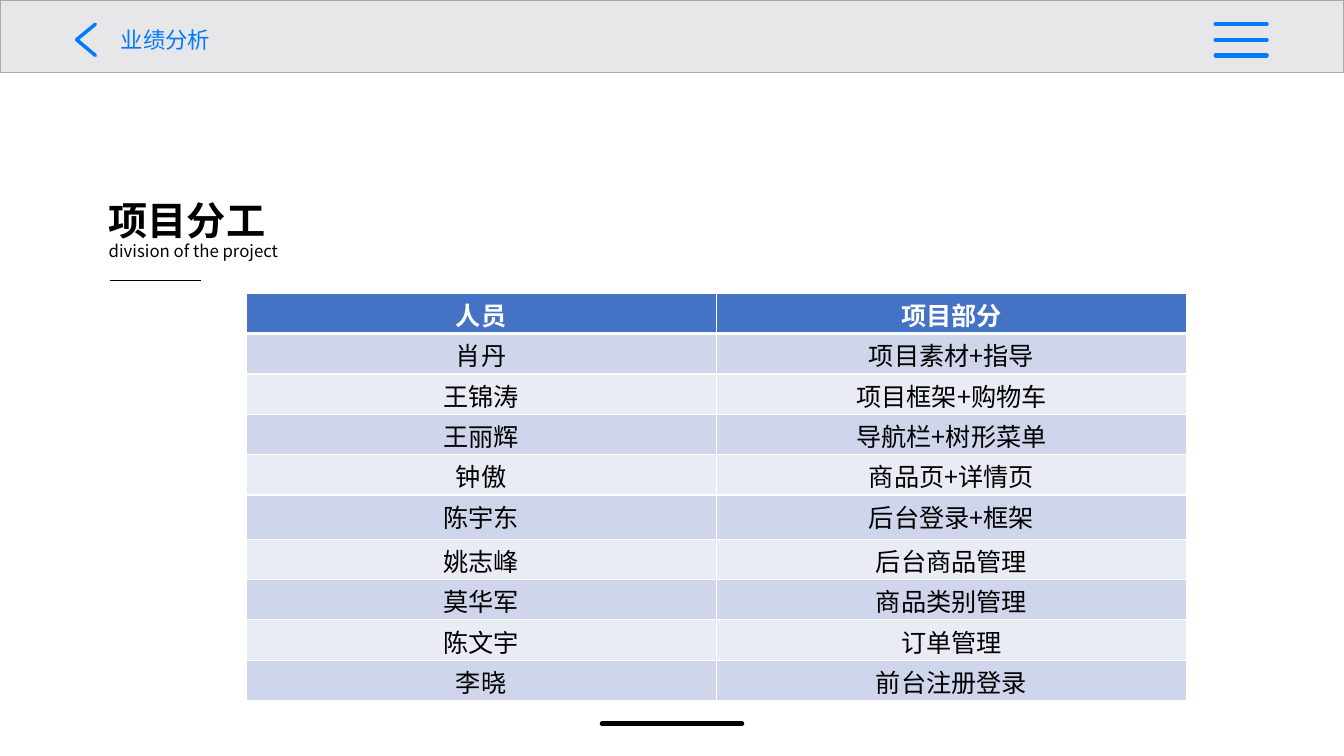
from lxml import etree
from pptx import Presentation, util as u
from pptx.dml.color import RGBColor
from pptx.enum import shapes, text
from pptx.oxml import ns

FONT = "Noto Sans CJK SC"
BLUE, BLACK, WHITE = "007AFF", "000000", "FFFFFF"
COLS, ROWS = 40, 22.5
G = u.Inches(1) / 3  # one square grid cell
rgb = RGBColor.from_string

prs = Presentation()
prs.slide_width, prs.slide_height = round(COLS * G), round(ROWS * G)
s = prs.slides.add_slide(prs.slide_layouts[6])


def add_line(x1, y1, x2, y2, color, width, cap="rnd"):
    ends = [round(v * G) for v in (x1, y1, x2, y2)]
    c = s.shapes.add_connector(shapes.MSO_CONNECTOR.STRAIGHT, *ends)
    c.line.color.rgb = rgb(color)
    c.line.width = u.Pt(width)
    c.line._get_or_add_ln().set("cap", cap)
    etree.SubElement(c._element.spPr, ns.qn("a:effectLst"))


def style(p, size, color, bold=False):
    for r in p.runs:
        r.font.size, r.font.bold, r.font.name = u.Pt(size), bold, FONT
        r.font.color.rgb = rgb(color)
        etree.SubElement(r._r.get_or_add_rPr(), ns.qn("a:ea"), typeface=FONT)


# Navigation bar
bar = s.shapes.add_shape(shapes.MSO_SHAPE.RECTANGLE, 0, 0, prs.slide_width, round(2.16 * G))
bar.shadow.inherit = False
bar.fill.solid()
bar.fill.fore_color.rgb = rgb("E7E7E9")
bar.line.color.rgb = rgb("A9A9A9")
bar.line.width = u.Pt(1)

# Back arrow, menu icon, title rule and home indicator
for y in (0.72, 1.65):
    add_line(2.84, y, 2.28, 1.18, BLUE, 2.5)
for i in range(3):
    y = 0.72 + 0.465 * i
    add_line(36.18, y, 37.7, y, BLUE, 3)
add_line(3.27, 8.34, 5.97, 8.34, BLACK, 1, "flat")
add_line(17.92, 21.54, 22.08, 21.54, BLACK, 3.5)

# Text boxes: place, anchor, then (wording, size, colour, bold, line pitch)
boxes = [
    ((3.3, 0.63, 4.2, 1.11), text.MSO_ANCHOR.MIDDLE,
     [("业绩分析", 16, BLUE, False, None)]),
    ((2.94, 5.61, 8.34, 2.31), text.MSO_ANCHOR.TOP,
     [("项目分工", 28, BLACK, True, 36),
      ("division of the project", 12, BLACK, False, 12)]),
]
for place, anchor, lines in boxes:
    tf = s.shapes.add_textbox(*[round(v * G) for v in place]).text_frame
    tf.word_wrap = True
    tf.vertical_anchor = anchor
    tf.text = "\n".join(item[0] for item in lines)
    for p, (_, size, color, bold, pitch) in zip(tf.paragraphs, lines):
        style(p, size, color, bold)
        if pitch:
            p.line_spacing = u.Pt(pitch)

# Division of work
work = [
    ("人员", "项目部分"),
    ("肖丹", "项目素材+指导"),
    ("王锦涛", "项目框架+购物车"),
    ("王丽辉", "导航栏+树形菜单"),
    ("钟傲", "商品页+详情页"),
    ("陈宇东", "后台登录+框架"),
    ("姚志峰", "后台商品管理"),
    ("莫华军", "商品类别管理"),
    ("陈文宇", "订单管理"),
    ("李晓", "前台注册登录"),
]
heights = [1.32 if name == "陈宇东" else 1.2 for name, _ in work]
place = [round(v * G) for v in (7.32, 8.73, 28, sum(heights))]
table = s.shapes.add_table(len(work), 2, *place).table
for i, values in enumerate(work):
    table.rows[i].height = round(heights[i] * G)
    header = i == 0
    fill = "4472C4" if header else ("E9EBF5", "CFD5EA")[i % 2]
    for j, value in enumerate(values):
        cell = table.cell(i, j)
        cell.margin_top, cell.margin_bottom = u.Inches(0.03), 0
        cell.text = value
        p = cell.text_frame.paragraphs[0]
        p.alignment = text.PP_ALIGN.CENTER
        style(p, 18, WHITE if header else BLACK, header)
        # White borders, thicker under the header
        for side in "LRTB":
            thick = (header and side == "B") or (i == 1 and side == "T")
            ln = etree.SubElement(cell._tc.get_or_add_tcPr(), ns.qn("a:ln" + side),
                                  w=str(u.Pt(3 if thick else 1)))
            solid = etree.SubElement(ln, ns.qn("a:solidFill"))
            etree.SubElement(solid, ns.qn("a:srgbClr"), val=WHITE)
        cell.fill.solid()
        cell.fill.fore_color.rgb = rgb(fill)

prs.save("out.pptx")
